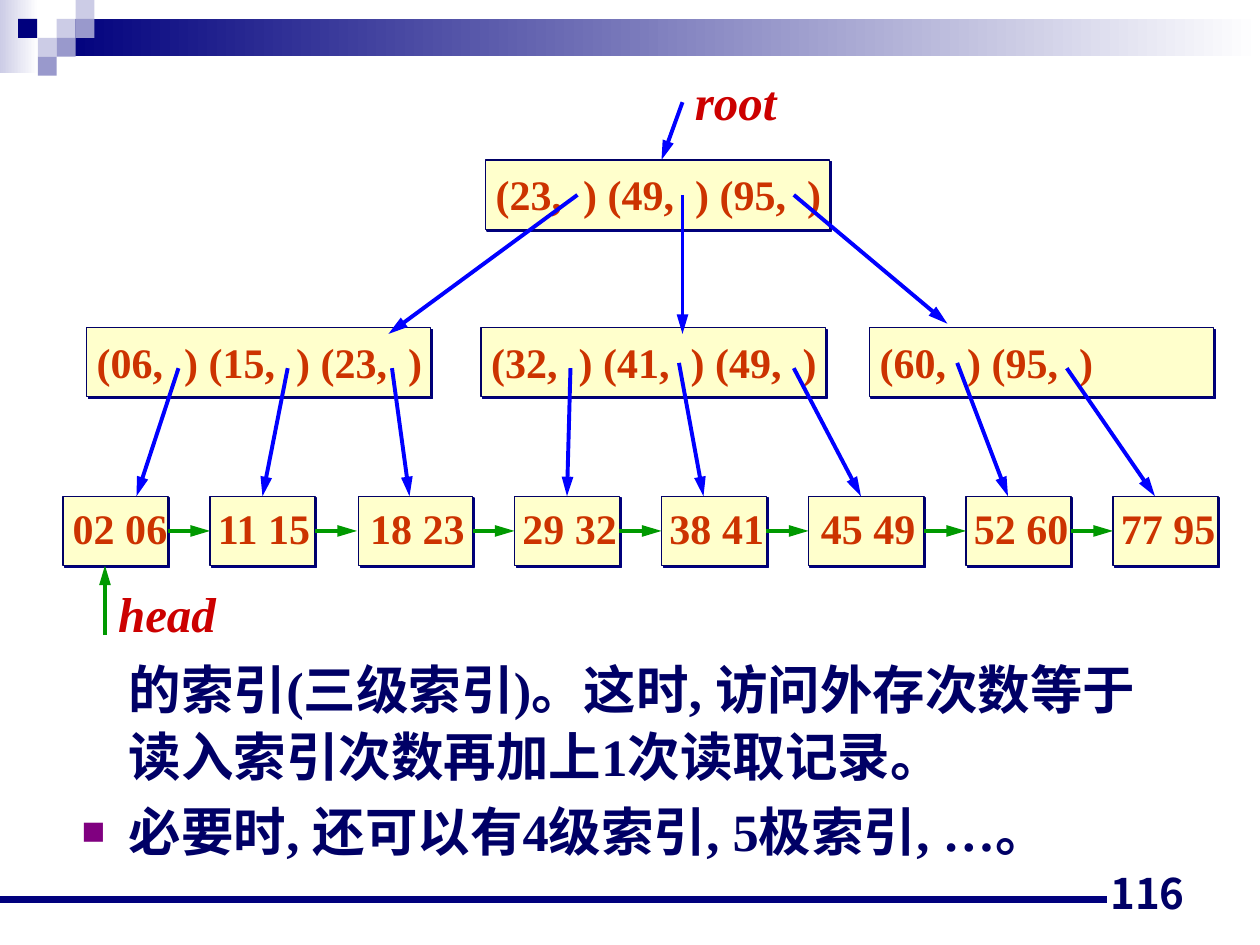
from lxml.etree import SubElement
from pptx import Presentation
from pptx.dml.color import RGBColor
from pptx.enum.shapes import MSO_CONNECTOR, MSO_SHAPE
from pptx.enum.text import MSO_ANCHOR, PP_ALIGN
from pptx.oxml.ns import qn
from pptx.util import Pt

COLORS = {
    "navy": "00007D", "lavender": "CCCCE6", "periwinkle": "9999CC", "white": "FFFFFF",
    "ink": "000066", "cream": "FFFFCC", "key": "CC3300", "name": "CC0000",
    "pointer": "0000FF", "chain": "009900", "bullet": "800080",
}
RGB = {name: RGBColor.from_string(value) for name, value in COLORS.items()}
SERIF = "Times New Roman"

prs = Presentation()
prs.slide_width, prs.slide_height = Pt(720), Pt(540)
slide = prs.slides.add_slide(prs.slide_layouts[6])
shapes = slide.shapes


def add_line(x1, y1, x2, y2, color, width=2.25, arrow=True):
    line = shapes.add_connector(MSO_CONNECTOR.STRAIGHT, Pt(x1), Pt(y1), Pt(x2), Pt(y2))
    line.line.color.rgb = RGB[color]
    line.line.width = Pt(width)
    if arrow:
        outline = line._element.spPr.find(qn("a:ln"))
        SubElement(outline, qn("a:tailEnd"), type="triangle", w="med", len="lg")
    SubElement(line._element.spPr, qn("a:effectLst"))


def add_label(text, left, top, width, height, size, color, italic=False):
    frame = shapes.add_textbox(Pt(left), Pt(top), Pt(width), Pt(height)).text_frame
    frame.word_wrap = True
    label = frame.paragraphs[0]
    label.text = text
    label.font.name, label.font.size = SERIF, Pt(size)
    label.font.bold, label.font.italic = True, italic
    label.font.color.rgb = RGB[color]


for left, top, width, height, color in [(0, 0, 22, 41.6, "lavender"), (32.4, 10.8, 687.6, 21.2, "navy")]:
    band = shapes.add_shape(MSO_SHAPE.RECTANGLE, Pt(left), Pt(top), Pt(width), Pt(height))
    band.shadow.inherit = False
    band.line.fill.background()
    band.fill.gradient()
    band.fill.gradient_angle = 0
    for stop, shade in zip(band.fill.gradient_stops, (color, "white")):
        stop.color.rgb = RGB[shade]

SQUARE = 10.8
for left, row, color in [
    (32.4, 1, "lavender"), (43.2, 0, "lavender"), (43.2, 1, "periwinkle"), (21.6, 2, "lavender"),
    (10.4, 1, "navy"), (32.4, 2, "periwinkle"), (21.6, 3, "periwinkle"),
]:
    square = shapes.add_shape(MSO_SHAPE.RECTANGLE, Pt(left), Pt(row * SQUARE), Pt(SQUARE), Pt(SQUARE))
    square.shadow.inherit = False
    square.fill.solid()
    square.fill.fore_color.rgb = RGB[color]
    square.line.fill.background()

add_line(0, 514, 632.4, 514, "navy", 4.5, arrow=False)

body = shapes.add_textbox(Pt(39.6), Pt(370.4), Pt(639.4), Pt(163)).text_frame
body.word_wrap = True
continuation = body.paragraphs[0]
continuation.text = "的索引(三级索引)。这时, 访问外存次数等于读入索引次数再加上1次读取记录。"
remark = body.add_paragraph()
remark.text = "必要时, 还可以有4级索引, 5极索引, …。"
remark.space_before = Pt(3.7)
for paragraph, spacing, indent in [(continuation, 1.05, 0), (remark, 1.1, -27)]:
    props = paragraph._p.get_or_add_pPr()
    props.set("marL", str(Pt(27)))
    props.set("indent", str(Pt(indent)))
    if indent:
        SubElement(SubElement(props, qn("a:buClr")), qn("a:srgbClr"), val=COLORS["bullet"])
        SubElement(props, qn("a:buSzPct"), val="75000")
        SubElement(props, qn("a:buFont"), typeface="Arial")
        SubElement(props, qn("a:buChar"), char="■")
    paragraph.line_spacing = spacing
    paragraph.font.name, paragraph.font.size, paragraph.font.bold = SERIF, Pt(30), True
    paragraph.font.color.rgb = RGB["ink"]

NODE_HEIGHT, LEAF_TOP, INDEX_TOP, ROOT_TOP = 39.6, 283.6, 187.2, 91.4
leaves = [
    ("02 06", 36, 60, 34.5), ("11 15", 120, 60, 117.5), ("18 23", 205, 65, 204.5),
    ("29 32", 294, 60, 291.5), ("38 41", 378, 60, 375.5), ("45 49", 462, 66, 462),
    ("52 60", 552, 60, 549.5), ("77 95", 636, 60, 633.5),
]
indexes = [
    ("(06,  ) (15,  ) (23,  )", 49.4, INDEX_TOP, 205),
    ("(32,  ) (41,  ) (49,  )", 274.8, INDEX_TOP, 205),
    ("(60,  ) (95,  )", 496.8, INDEX_TOP, 146),
    ("(23,  ) (49,  ) (95,  )", 277.4, ROOT_TOP, 205),
]
nodes = [(keys, left, LEAF_TOP, width, label_left, LEAF_TOP, 72) for keys, left, width, label_left in leaves]
nodes += [(keys, left, top, 196.8, left - 1.2, top + 1.4, width) for keys, left, top, width in indexes]

for keys, left, top, width, label_left, label_top, label_width in nodes:
    node = shapes.add_shape(MSO_SHAPE.RECTANGLE, Pt(left), Pt(top), Pt(width), Pt(NODE_HEIGHT))
    node.fill.solid()
    node.fill.fore_color.rgb = RGB["cream"]
    node.line.color.rgb = RGB["ink"]
    node.line.width = Pt(0.75)
    node.shadow.inherit = False
    effects = node._element.spPr.find(qn("a:effectLst"))
    shadow = SubElement(effects, qn("a:outerShdw"), blurRad="0", dist=str(Pt(1.4)), dir="2700000", algn="ctr", rotWithShape="0")
    SubElement(shadow, qn("a:srgbClr"), val=COLORS["navy"])
    add_label(keys, label_left, label_top, label_width, 36, 24, "key")

for keys, left, width, label_left in leaves[:-1]:
    add_line(left + width, 303.4, left + width + 24, 303.4, "chain")

for x1, y1, x2, y2 in [
    (390, 58.4, 378, ROOT_TOP),
    (330, 111.4, 222, 190.8), (390, 111.4, 390, 190.8), (453.6, 111.4, 541.4, 185),
    (102, 210.4, 78, LEAF_TOP), (164.4, 210.4, 150, LEAF_TOP), (224, 210.4, 234, LEAF_TOP),
    (326, 210.4, 324, LEAF_TOP), (388, 207.4, 402, LEAF_TOP), (453.6, 210.4, 492, LEAF_TOP),
    (547, 207.4, 576, LEAF_TOP), (609.6, 210.4, 660, LEAF_TOP),
]:
    add_line(x1, y1, x2, y2, "pointer")

add_line(60, 363, 60, LEAF_TOP + NODE_HEIGHT, "chain")
add_label("root", 390, 37.6, 66, 41, 28, "name", italic=True)
add_label("head", 60.4, 329.8, 75, 41, 28, "name", italic=True)

footer = shapes.add_textbox(Pt(516), Pt(492), Pt(168), Pt(36)).text_frame
footer.word_wrap = True
footer.vertical_anchor = MSO_ANCHOR.BOTTOM
number = footer.paragraphs[0]
number.text = "116"
number.alignment = PP_ALIGN.RIGHT
number.font.name, number.font.size, number.font.bold = "Noto Sans CJK JP", Pt(24), True
number.font.color.rgb = RGB["ink"]

prs.save("out.pptx")
